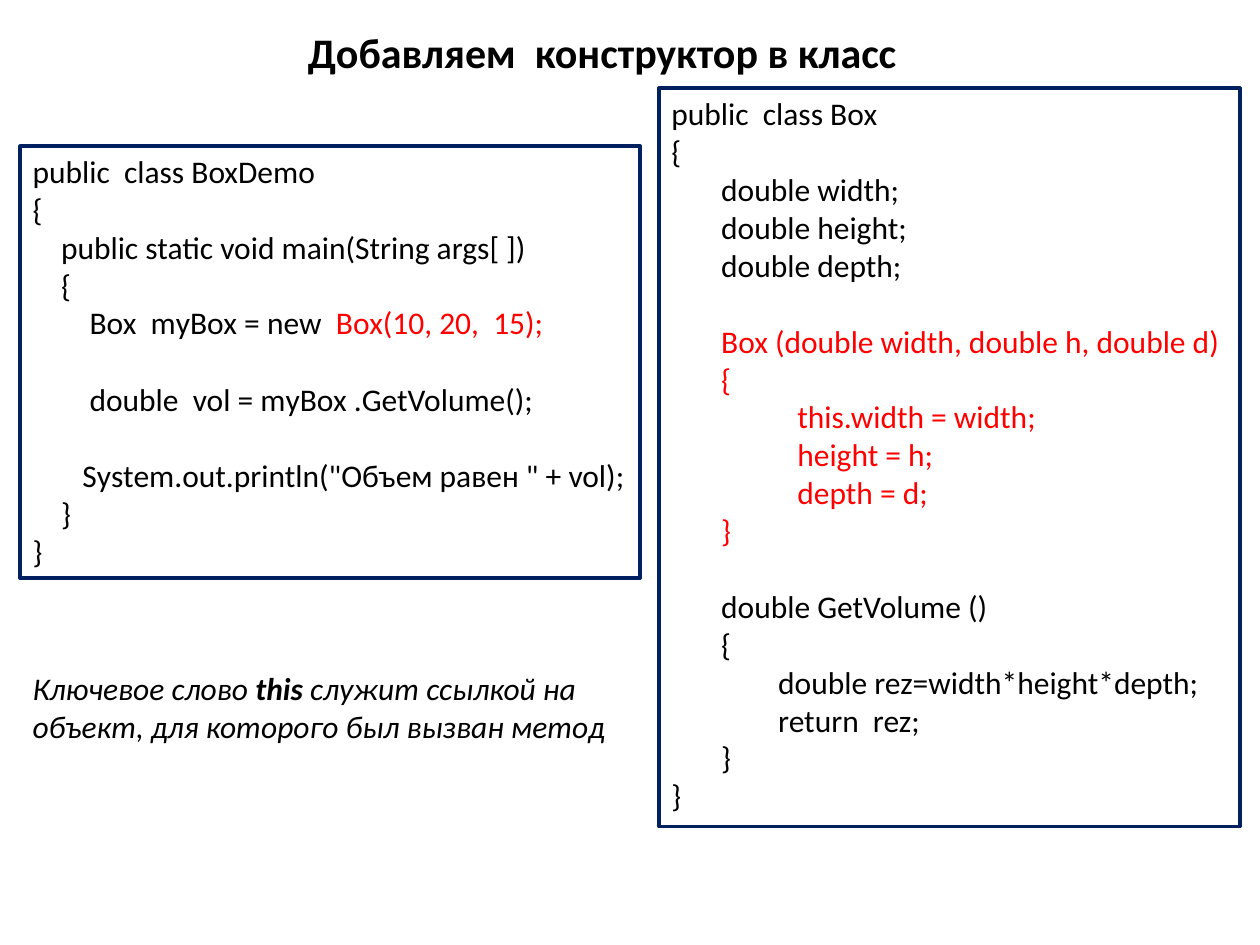
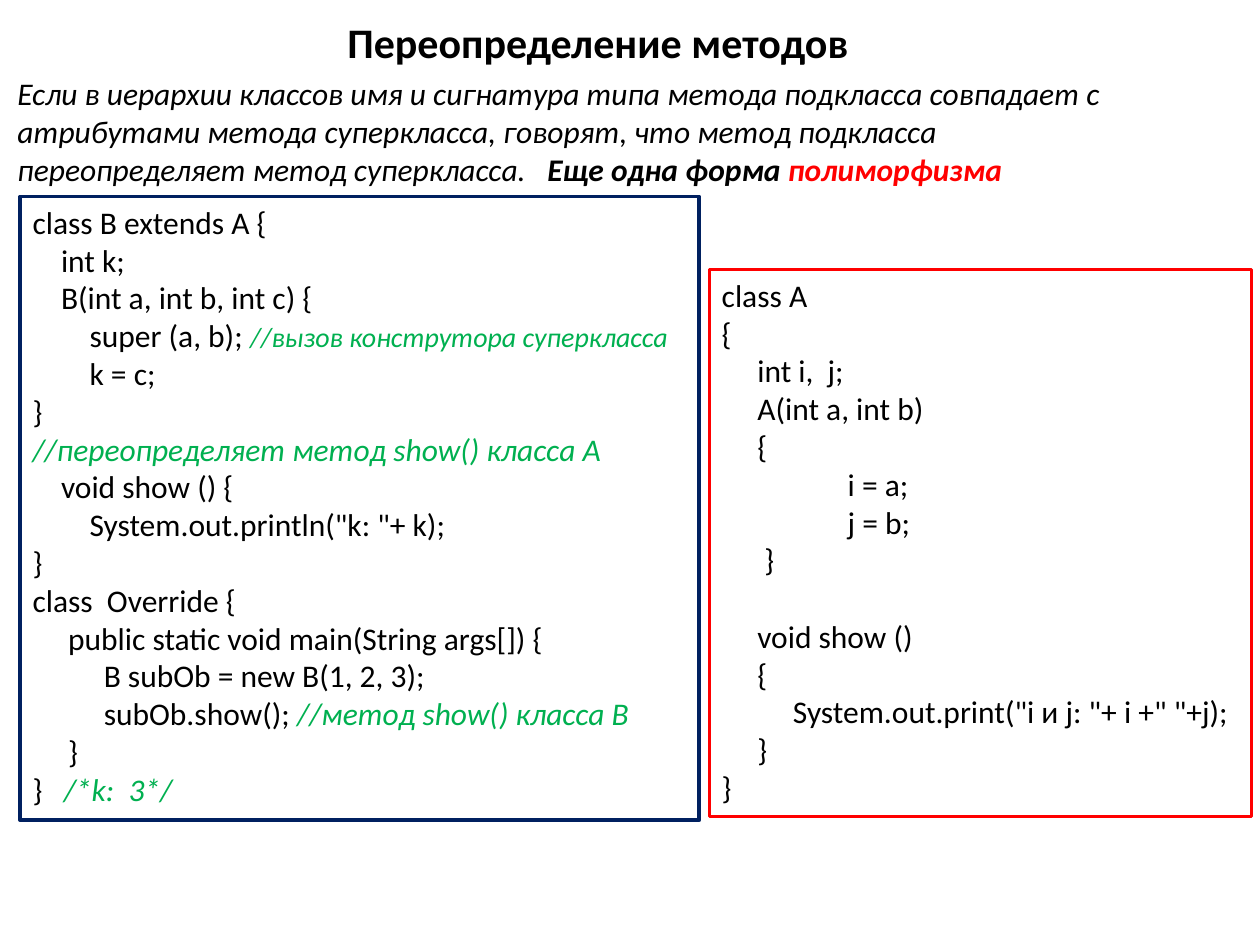
from pptx import Presentation
from pptx.dml.color import RGBColor
from pptx.enum.shapes import MSO_SHAPE
from pptx.enum.text import MSO_ANCHOR, MSO_AUTO_SIZE, PP_ALIGN
from pptx.util import Inches, Pt

RECT = MSO_SHAPE.RECTANGLE
TOP = MSO_ANCHOR.TOP
LEFT, CENTER = PP_ALIGN.LEFT, PP_ALIGN.CENTER
NO_AUTOFIT = MSO_AUTO_SIZE.NONE

BLACK = RGBColor(0x00, 0x00, 0x00)
NAVY = RGBColor(0x00, 0x20, 0x60)
RED = RGBColor(0xFF, 0x00, 0x00)
GREEN = RGBColor(0x00, 0xB0, 0x50)

FONT = "Calibri"
TITLE_SIZE, BODY_SIZE = 24, 18
SPACE = 4.07
TAB = 72 / SPACE
LINE = 22

PLAIN = {}
NEW = {"color": RED}
NOTE = {"italic": True}
STRONG = {"italic": True, "bold": True}
KEY = {**STRONG, "color": RED}
COMMENT = {"italic": True, "color": GREEN}
SMALL_COMMENT = {**COMMENT, "size": 16}

GAP = None

BOX_DEMO = [
    (0, ("public  class BoxDemo", PLAIN)),
    (0, ("{", PLAIN)),
    (4, ("public static void main(String args[ ])", PLAIN)),
    (4, ("{", PLAIN)),
    (8, ("Вох  mуBох = new  ", PLAIN), ("Вох(10, 20,  15);", NEW)),
    GAP,
    (8, ("double  vol = mуBох .GetVolume();", PLAIN)),
    GAP,
    (7, ('Sуstеm.оut.рrintln("Объем равен " + vol);', PLAIN)),
    (4, ("}", PLAIN)),
    (0, ("}", PLAIN)),
]

BOX = [
    (0, ("public  class Вох", PLAIN)),
    (0, ("{", PLAIN)),
    (7, ("double width;", PLAIN)),
    (7, ("double height;", PLAIN)),
    (7, ("double depth;", PLAIN)),
    GAP,
    (7, ("Box (double width, double h, double d)", NEW)),
    (7, ("{", NEW)),
    (TAB, ("this.width = width;", NEW)),
    (TAB, ("height = h;", NEW)),
    (TAB, ("depth = d;", NEW)),
    (7, ("}", NEW)),
    GAP,
    (7, ("double GetVolume ()", PLAIN)),
    (7, ("{", PLAIN)),
    (15, ("double rez=width*height*depth;", PLAIN)),
    (15, ("return  rez;", PLAIN)),
    (7, ("}", PLAIN)),
    (0, ("}", PLAIN)),
]

THIS_NOTE = [
    (0, ("Ключевое слово ", NOTE), ("this", STRONG),
     (" служит ссылкой на объект, для которого был вызван метод", NOTE)),
]

CLASS_B = [
    (0, ("class В extends А {", PLAIN)),
    (4, ("int k;", PLAIN)),
    (4, ("B(int а, int b, int с) {", PLAIN)),
    (8, ("super (а, b); ", PLAIN), ("//вызов конструтора суперкласса", SMALL_COMMENT)),
    (8, ("k = с;", PLAIN)),
    (0, ("}", PLAIN)),
    (0, ("//переопределяет метод show() класса А", COMMENT)),
    (4, ("void show () {", PLAIN)),
    (8, ('System.out.println("k: "+ k);', PLAIN)),
    (0, ("}", PLAIN)),
    (0, ("class  Override {", PLAIN)),
    (5, ("public static void main(String args[]) {", PLAIN)),
    (10, ("В subOb = new B(1, 2, 3);", PLAIN)),
    (10, ("subOb.show(); ", PLAIN), ("//метод show() класса В", COMMENT)),
    (5, ("}", PLAIN)),
    (0, ("}   ", PLAIN), ("/*k:  3*/", COMMENT)),
]

CLASS_A = [
    (0, ("class A", PLAIN)),
    (0, ("{", PLAIN)),
    (5, ("int i,  j;", PLAIN)),
    (5, ("A(int а, int b)", PLAIN)),
    (5, ("{", PLAIN)),
    (TAB, ("i = а;", PLAIN)),
    (TAB, ("j = b;", PLAIN)),
    (6, ("}", PLAIN)),
    GAP,
    (5, ("void show ()", PLAIN)),
    (5, ("{", PLAIN)),
    (10, ('System.out.print("i и j: "+ i +" "+j);', PLAIN)),
    (5, ("}", PLAIN)),
    (0, ("}", PLAIN)),
]

OVERRIDE_NOTE = [
    (0, ("Если в иерархии классов имя и сигнатура типа метода подкласса совпадает с "
         "атрибутами метода суперкласса, говорят, что метод подкласса "
         "переопределяет метод суперкласса.   ", NOTE),
     ("Еще одна форма ", STRONG), ("полиморфизма", KEY)),
]

SLIDES = [
    {"title": ("Добавляем  конструктор в класс", (2.32, 0.16, 4.92, 0.5)),
     "code": [(BOX_DEMO, (0.16, 1.16, 4.92, 3.43), NAVY, 2),
              (BOX, (5.23, 0.7, 4.61, 5.86), NAVY, 2)],
     "note": (THIS_NOTE, (0.16, 5.26, 5.08, 1.14))},
    {"title": ("Переопределение методов", (2.6, 0.08, 4.29, 0.5)),
     "code": [(CLASS_B, (0.16, 1.56, 5.39, 4.95), NAVY, 2),
              (CLASS_A, (5.63, 2.14, 4.3, 4.34), RED, 1.75)],
     "note": (OVERRIDE_NOTE, (0.04, 0.54, 8.91, 1.31))},
]


def add_run(p, text, size=BODY_SIZE, color=BLACK, bold=False, italic=False):
    r = p.add_run()
    r.text = text
    r.font.name = FONT
    r.font.size = Pt(size)
    r.font.color.rgb = color
    r.font.bold = bold
    r.font.italic = italic


def fill_text(tf, lines):
    tf.word_wrap = True
    tf.vertical_anchor = TOP
    p, gap = tf.paragraphs[0], 0
    for line in lines:
        if line is GAP:
            gap += LINE
            continue
        indent, *runs = line
        if p.runs:
            p = tf.add_paragraph()
        p.alignment = LEFT
        p.space_before = Pt(gap)
        p._p.get_or_add_pPr().set("marL", str(Pt(indent * SPACE)))
        for text, style in runs:
            add_run(p, text, **style)
        gap = 0


def add_title(s, text, at):
    sp = s.shapes.title
    sp.left, sp.top, sp.width, sp.height = map(Inches, at)
    tf = sp.text_frame
    tf.auto_size = NO_AUTOFIT
    tf.word_wrap = False
    tf.vertical_anchor = TOP
    p = tf.paragraphs[0]
    p.alignment = CENTER
    add_run(p, text, TITLE_SIZE, bold=True)


def add_code(s, lines, at, color, width):
    sp = s.shapes.add_shape(RECT, *map(Inches, at))
    sp.shadow.inherit = False
    sp.fill.background()
    sp.line.color.rgb = color
    sp.line.width = Pt(width)
    fill_text(sp.text_frame, lines)


def add_note(s, lines, at):
    fill_text(s.shapes.add_textbox(*map(Inches, at)).text_frame, lines)


def main():
    prs = Presentation()
    prs.slide_width, prs.slide_height = Inches(10), Inches(7.5)
    for content in SLIDES:
        s = prs.slides.add_slide(prs.slide_layouts[5])
        add_title(s, *content["title"])
        for code in content["code"]:
            add_code(s, *code)
        add_note(s, *content["note"])
    prs.save("out.pptx")


if __name__ == "__main__":
    main()
